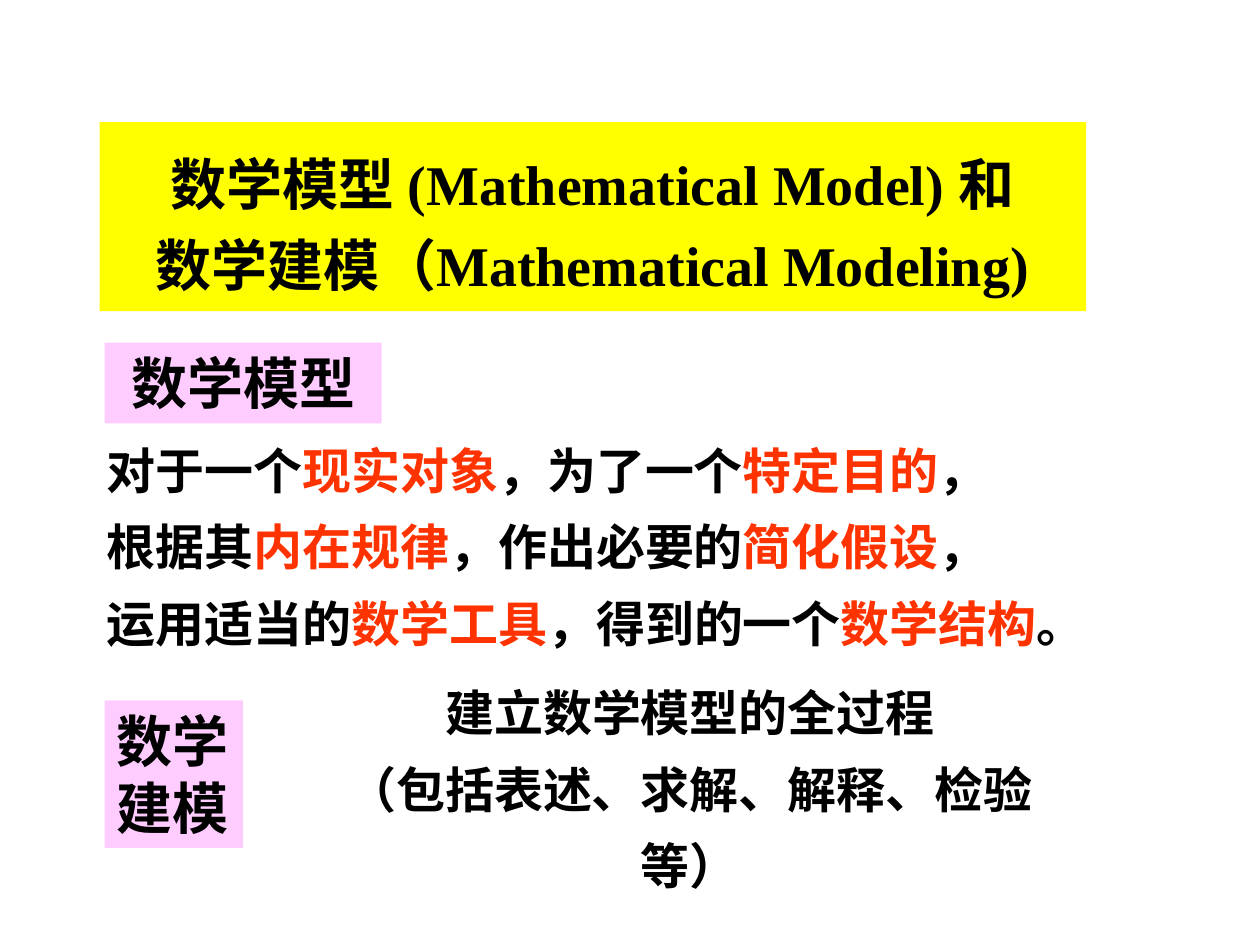
from pptx import Presentation
from pptx.util import Inches, Pt
from pptx.dml.color import RGBColor
from pptx.enum.shapes import MSO_SHAPE as Shape
from pptx.enum.text import PP_ALIGN as Align, MSO_ANCHOR as Anchor
from pptx.oxml.ns import qn
from lxml.etree import SubElement

BLACK = RGBColor(0x00, 0x00, 0x00)
RED = RGBColor(0xFF, 0x33, 0x00)
YELLOW = RGBColor(0xFF, 0xFF, 0x00)
PINK = RGBColor(0xFF, 0xCC, 0xFF)
ROMAN = "Times New Roman"
HAN = "Noto Sans CJK SC"
COLS, ROWS = 100, 75  # grid over the whole slide


class Deck:
    def __init__(self):
        self.prs = Presentation()
        self.prs.slide_width = Inches(10)
        self.prs.slide_height = Inches(7.5)
        self.slide = self.prs.slides.add_slide(self.prs.slide_layouts[6])

    def place(self, col, row, wide, high):
        x, y = self.prs.slide_width / COLS, self.prs.slide_height / ROWS
        return [round(n) for n in (col * x, row * y, wide * x, high * y)]

    def letter(self, shape, lines, size, font=ROMAN, align=Align.CENTER,
               gap=1.0, anchor=Anchor.MIDDLE, wrap=False):
        """Lines are lists of runs; every second run is a red key term."""
        frame = shape.text_frame
        frame.word_wrap = wrap
        frame.vertical_anchor = anchor
        for i, line in enumerate(lines):
            para = frame.paragraphs[0] if i == 0 else frame.add_paragraph()
            para.alignment = align
            para.line_spacing = gap
            for j, text in enumerate(line):
                run = para.add_run()
                run.text = text
                run.font.size = Pt(size)
                run.font.bold = True
                run.font.color.rgb = RED if j % 2 else BLACK
                run.font.name = font
                SubElement(run.font._element, qn("a:ea"), typeface=HAN)

    def text(self, grid, lines, **style):
        box = self.slide.shapes.add_textbox(*self.place(*grid))
        self.letter(box, lines, 28, gap=1.3, **style)

    def panel(self, grid, fill, lines, **style):
        box = self.slide.shapes.add_shape(Shape.RECTANGLE, *self.place(*grid))
        box.shadow.inherit = False
        box.fill.solid()
        box.fill.fore_color.rgb = fill
        box.line.fill.background()
        self.letter(box, lines, 32, **style)

    def label(self, grid, text, align):
        self.panel(grid, PINK, [[text]], align=align, anchor=Anchor.TOP,
                   wrap=True)


def main():
    deck = Deck()

    # Title
    deck.panel((7.9, 9.7, 78.3, 15), YELLOW, [
        ["数学模型 (Mathematical Model) 和"],
        ["数学建模（Mathematical Modeling)"],
    ], gap=1.2)

    # Definition of a model
    deck.text((7.5, 33.6, 79.5, 18.1), [
        ["对于一个", "现实对象", "，为了一个", "特定目的", "，"],
        ["根据其", "内在规律", "，作出必要的", "简化假设", "，"],
        ["运用适当的", "数学工具", "，得到的一个", "数学结构", "。"],
    ], font=HAN, align=Align.LEFT)

    # Definition of modeling
    deck.text((23.2, 54.8, 63.1, 14.2), [
        ["建立数学模型的全过程"],
        ["（包括表述、求解、解释、检验等）"],
    ])

    # Term labels
    deck.label((8.3, 27.2, 22, 6.4), "数学模型", Align.CENTER)
    deck.label((8.3, 55.6, 11, 11.7), "数学建模", Align.LEFT)

    deck.prs.save("out.pptx")


if __name__ == "__main__":
    main()
